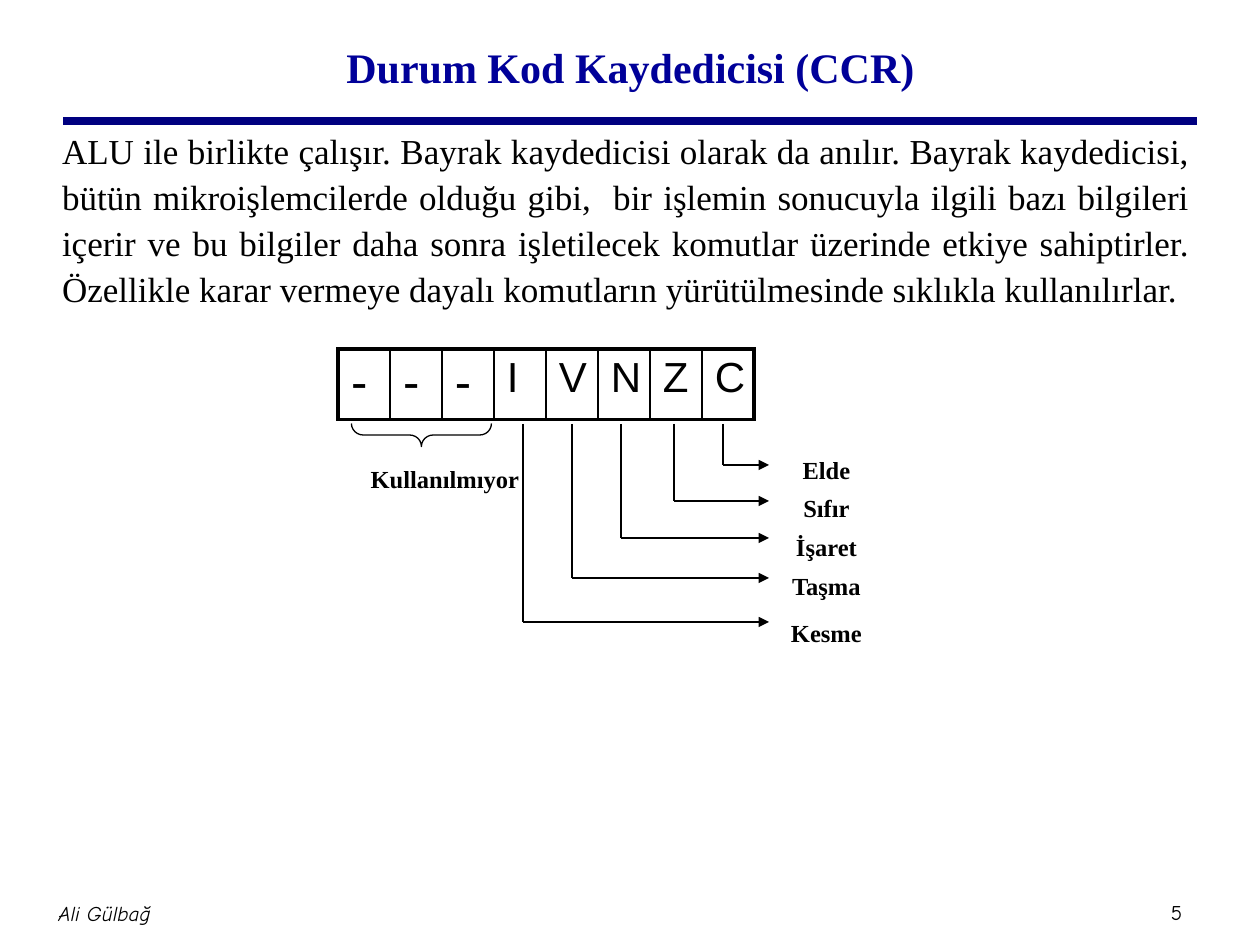
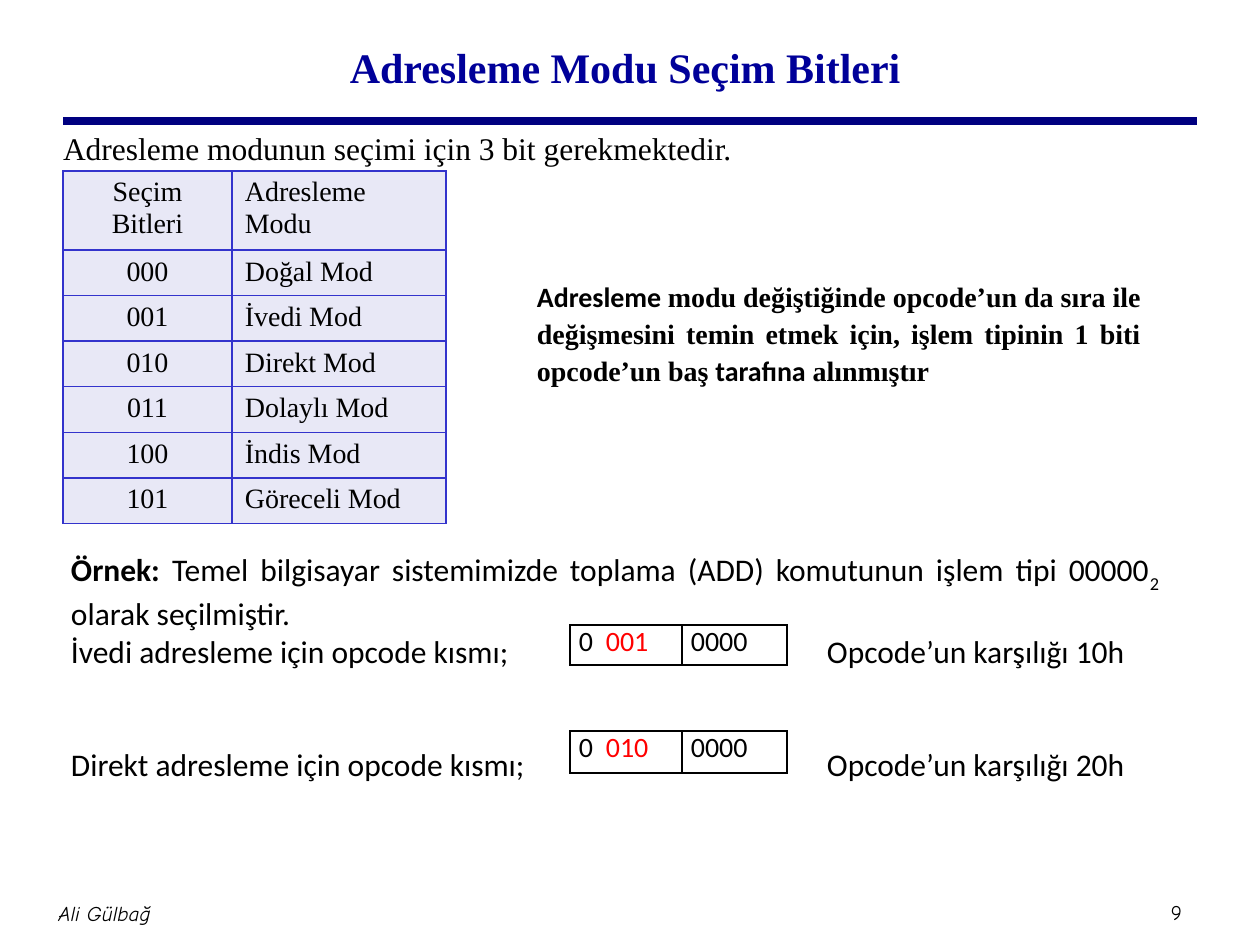
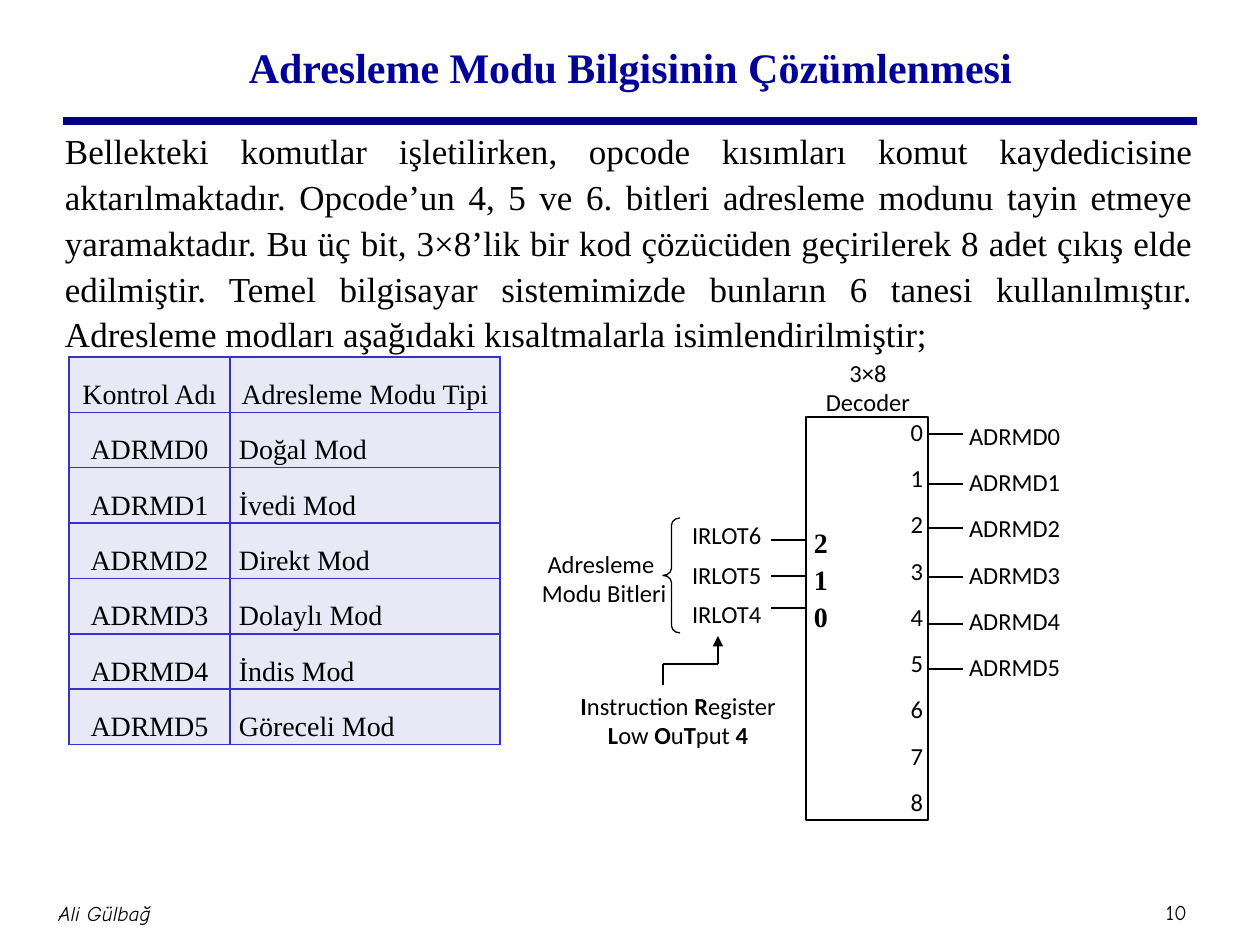
from lxml import etree
from pptx import Presentation
from pptx.dml.color import RGBColor
from pptx.enum.shapes import MSO_CONNECTOR, MSO_SHAPE
from pptx.enum.text import MSO_ANCHOR, PP_ALIGN
from pptx.oxml.ns import qn
from pptx.util import Emu, Pt

LEFT, CENTER, RIGHT, JUSTIFY = PP_ALIGN.LEFT, PP_ALIGN.CENTER, PP_ALIGN.RIGHT, PP_ALIGN.JUSTIFY
TOP, MIDDLE = MSO_ANCHOR.TOP, MSO_ANCHOR.MIDDLE
STRAIGHT = MSO_CONNECTOR.STRAIGHT
RECTANGLE, LEFT_BRACE = MSO_SHAPE.RECTANGLE, MSO_SHAPE.LEFT_BRACE

BLACK = RGBColor(0x00, 0x00, 0x00)
RED = RGBColor(0xFF, 0x00, 0x00)
TITLE_BLUE = RGBColor(0x00, 0x00, 0x99)
BAND_BLUE = RGBColor(0x00, 0x00, 0x80)
GRID_BLUE = RGBColor(0x33, 0x33, 0xCC)
CELL_LILAC = RGBColor(0xE8, 0xE8, 0xF6)

SERIF, SANS, ARIAL, HAND = "Times New Roman", "Calibri", "Arial", "Comic Neue"
SERIF_SPACING = 1.09
INSETS = (13, 6, 13, 6)
NO_INSETS = (0, 0, 0, 0)
MODES = ["Doğal Mod", "İvedi Mod", "Direkt Mod", "Dolaylı Mod", "İndis Mod", "Göreceli Mod"]


def px(n):
    return Emu(round(n * 914400 / 126))


# Text
def write(p, content, size, font, bold=False, italic=False, color=BLACK,
          align=LEFT, spacing=None, after=None):
    """Fill a paragraph with a string, or with (text, overrides) runs."""
    p.alignment = align
    p.line_spacing = spacing
    p.space_before = Pt(0)
    p.space_after = Pt(after or 0)
    f = p.font
    f.size, f.name, f.bold, f.italic = Pt(size), font, bold, italic
    f.color.rgb = color
    for item in [(content, {})] if isinstance(content, str) else content:
        r = p.add_run()
        r.text, changes = item
        if "bold" in changes:
            r.font.bold = changes["bold"]
        if "font" in changes:
            r.font.name = changes["font"]
        if "color" in changes:
            r.font.color.rgb = changes["color"]
        if "baseline" in changes:
            r._r.get_or_add_rPr().set("baseline", str(changes["baseline"]))


def fill_frame(tf, paragraphs, size, font, insets=INSETS, anchor=TOP, **style):
    tf.word_wrap = True
    tf.vertical_anchor = anchor
    tf.margin_left, tf.margin_top, tf.margin_right, tf.margin_bottom = map(px, insets)
    for i, content in enumerate(paragraphs):
        p = tf.paragraphs[0] if i == 0 else tf.add_paragraph()
        write(p, content, size, font, **style)


def text(s, x, y, w, h, paragraphs, size, font, **style):
    tf = s.shapes.add_textbox(*map(px, (x, y, w, h))).text_frame
    fill_frame(tf, paragraphs, size, font, **style)
    return tf


def tab_stop(p, position):
    tabs = etree.SubElement(p._p.get_or_add_pPr(), qn("a:tabLst"))
    etree.SubElement(tabs, qn("a:tab"), pos=str(px(position)), algn="l")
    defaults = p._p.pPr.find(qn("a:defRPr"))
    if defaults is not None:
        defaults.addprevious(tabs)


# Lines and outlines
def line(s, x1, y1, x2, y2, color=BLACK, width=0.75, arrow=False):
    c = s.shapes.add_connector(STRAIGHT, *map(px, (x1, y1, x2, y2)))
    c.line.color.rgb = color
    c.line.width = Pt(width)
    if arrow:
        etree.SubElement(c.line._get_or_add_ln(), qn("a:tailEnd"), type="triangle")
    etree.SubElement(c._element.spPr, qn("a:effectLst"))


def outline(s, kind, x, y, w, h):
    sp = s.shapes.add_shape(kind, *map(px, (x, y, w, h)))
    sp.shadow.inherit = False
    sp.fill.background()
    sp.line.color.rgb = BLACK
    sp.line.width = Pt(0.75)
    return sp


# Tables
def set_borders(cell, color, widths):
    """Draw the left, right, top and bottom edges of a cell."""
    tcPr = cell._tc.get_or_add_tcPr()
    for i, (side, width) in enumerate(zip("LRTB", widths)):
        ln = etree.Element(qn("a:ln" + side), w=str(Pt(width)))
        fill = etree.SubElement(ln, qn("a:solidFill"))
        etree.SubElement(fill, qn("a:srgbClr"), val=str(color))
        tcPr.insert(i, ln)


def grid(s, x, y, cols, heights, rows, size, font, aligns, insets=INSETS,
         anchor=TOP, border=BLACK, fill=None, frame=1, spacing=None):
    """Build a table; frame is the width of its outer border."""
    shape = s.shapes.add_table(len(rows), len(cols), px(x), px(y),
                               px(sum(cols)), px(sum(heights)))
    table = shape.table
    table.first_row = table.horz_banding = False
    for column, width in zip(table.columns, cols):
        column.width = px(width)
    for row, height in zip(table.rows, heights):
        row.height = px(height)
    for i, contents in enumerate(rows):
        for j, content in enumerate(contents):
            cell = table.cell(i, j)
            if fill is None:
                cell.fill.background()
            else:
                cell.fill.solid()
                cell.fill.fore_color.rgb = fill
            cell.vertical_anchor = anchor
            (cell.margin_left, cell.margin_top,
             cell.margin_right, cell.margin_bottom) = map(px, insets)
            write(cell.text_frame.paragraphs[0], content, size, font,
                  align=aligns[j], spacing=spacing)
            edges = (j == 0, j == len(cols) - 1, i == 0, i == len(rows) - 1)
            set_borders(cell, border, [frame if edge else 1 for edge in edges])
    return table


# Shared slide frame: title, band, author, number
def new_slide(prs, title, number):
    s = prs.slides.add_slide(prs.slide_layouts[5])
    sp = s.shapes.title
    sp.left, sp.top, sp.width, sp.height = map(px, (95, 10, 1071, 108))
    fill_frame(sp.text_frame, [title], 24, SERIF, anchor=MIDDLE, bold=True,
               color=TITLE_BLUE, align=CENTER, spacing=SERIF_SPACING)
    line(s, 63, 121, 1197, 121, BAND_BLUE, 4.5)
    footer = dict(insets=(6, 6, 6, 6), anchor=MIDDLE, align=CENTER)
    text(s, 1147, 893, 59, 38, [str(number)], 12, HAND, **footer)
    text(s, -121, 882, 451, 63, ["Ali Gülbağ"], 12, HAND, italic=True, **footer)
    return s


def intro(s, x, content, size=20):
    text(s, x, 120, 1154, 234, [content], size, SERIF, align=JUSTIFY, spacing=SERIF_SPACING)


# Flag register with a labelled arrow from each used bit
def flag_register(s, x, y):
    bits = "---IVNZC"
    table = grid(s, x, y, [52] * len(bits), [68], [list(bits)], 24, ARIAL,
                 [LEFT] * len(bits), frame=2.25)
    for j in range(3):
        table.cell(0, j).text_frame.paragraphs[0].font.size = Pt(28)

    brace = outline(s, LEFT_BRACE, x + 72, y + 16, 23, 140)
    brace.rotation = 270
    brace.adjustments[0] = 0.51

    label = dict(size=14, font=SERIF, bold=True, align=CENTER, spacing=SERIF_SPACING)
    text(s, x + 14, y + 106, 186, 42, ["Kullanılmıyor"], **label)
    flags = [("Elde", 385, 116, 97), ("Sıfır", 336, 152, 135), ("İşaret", 283, 189, 174),
             ("Taşma", 234, 229, 213), ("Kesme", 185, 273, 260)]
    for name, bit_x, arrow_y, label_y in flags:
        line(s, x + bit_x, y + 75, x + bit_x, y + arrow_y)
        line(s, x + bit_x, y + arrow_y, x + 431, y + arrow_y, arrow=True)
        text(s, x + 431, y + label_y, 115, 38, [name], **label)


# Worked example with opcode boxes
def opcode_example(s, x, y):
    tf = text(s, x, y, 1114, 280, [
        [("Örnek: ", {"bold": True}),
         ("Temel bilgisayar sistemimizde toplama (ADD) komutunun işlem tipi 00000", {}),
         ("2", {"baseline": -30000}), (" olarak seçilmiştir.", {})],
        "İvedi adresleme için opcode kısmı;\tOpcode’un karşılığı 10h",
        "Direkt adresleme için opcode kısmı;\tOpcode’un karşılığı 20h",
    ], 18, SANS, align=JUSTIFY)
    for p in tf.paragraphs[1:]:
        p.alignment = LEFT
        tab_stop(p, 756)
    tf.paragraphs[2].space_before = Pt(43)

    for mode_bits, top, height in (("001", 81, 40), ("010", 187, 42)):
        table = grid(s, x + 512, y + top, [112, 105], [height],
                     [[[("0\t", {}), (mode_bits, {"color": RED})], "0000"]],
                     16, SANS, [LEFT, LEFT], insets=(9, 0, 9, 0))
        tab_stop(table.cell(0, 0).text_frame.paragraphs[0], 27)


# Decoder with its inputs, outputs and notes
def decoder_diagram(s, x, y):
    label = dict(size=14, font=SANS)
    text(s, x + 247, y, 158, 58, ["3×8", "Decoder"], align=CENTER, **label)
    body = outline(s, RECTANGLE, x + 264, y + 65, 122, 403)
    fill_frame(body.text_frame, [str(n) for n in range(9)], insets=(0, 0, 5, 0),
               align=RIGHT, after=9.6, **label)

    # Outputs
    for pin_y in (82, 132, 176, 225, 272, 317):
        line(s, x + 386, y + pin_y, x + 421, y + pin_y)
    text(s, x + 427, y + 69, 134, 278, [f"ADRMD{n}" for n in range(6)],
         insets=NO_INSETS, after=9.6, **label)

    # Inputs
    for pin_y in (188, 224, 256):
        line(s, x + 229, y + pin_y, x + 264, y + pin_y)
    text(s, x + 150, y + 168, 97, 137, [f"IRLOT{n}" for n in (6, 5, 4)],
         insets=NO_INSETS, after=5.8, **label)
    text(s, x + 259, y + 165, 39, 115, ["2", "1", "0"], 16, SERIF, bold=True,
         spacing=SERIF_SPACING)
    brace = outline(s, LEFT_BRACE, x + 121, y + 166, 17, 115)
    brace.adjustments[0] = 0.42
    text(s, x - 13, y + 191, 158, 92, [" Adresleme Modu Bitleri"], **label)

    # Meaning of the input names
    bold = {"bold": True}
    text(s, x + 25, y + 333, 222, 136, [
        [("I", bold), ("nstruction ", {}), ("R", bold), ("egister", {})],
        [("L", bold), ("ow ", {}), ("O", bold), ("u", {}), ("T", bold),
         ("put ", {}), ("4", bold)],
    ], align=CENTER, **label)
    line(s, x + 121, y + 333, x + 121, y + 312)
    line(s, x + 121, y + 312, x + 176, y + 312)
    line(s, x + 176, y + 312, x + 176, y + 284, arrow=True)


# Slides
def condition_code_slide(prs):
    s = new_slide(prs, "Durum Kod Kaydedicisi (CCR)", 5)
    intro(s, 49, "ALU ile birlikte çalışır. Bayrak kaydedicisi olarak da anılır. Bayrak "
          "kaydedicisi, bütün mikroişlemcilerde olduğu gibi,  bir işlemin sonucuyla ilgili "
          "bazı bilgileri içerir ve bu bilgiler daha sonra işletilecek komutlar üzerinde "
          "etkiye sahiptirler. Özellikle karar vermeye dayalı komutların yürütülmesinde "
          "sıklıkla kullanılırlar.")
    flag_register(s, 338, 349)


def mode_bits_slide(prs):
    s = new_slide(prs, "Adresleme Modu Seçim Bitleri ", 9)
    intro(s, 50, "Adresleme modunun seçimi için 3 bit gerekmektedir.", 18)
    rows = [["Seçim Bitleri", "Adresleme Modu"]]
    rows += [[f"{n:03b}", mode] for n, mode in enumerate(MODES)]
    grid(s, 63, 171, [169, 214], [75] + [43.75] * len(MODES), rows, 16, SERIF,
         [CENTER, LEFT], border=GRID_BLUE, fill=CELL_LILAC)
    sans = {"font": SANS}
    text(s, 524, 271, 630, 115, [[
        ("Adresleme ", sans),
        ("modu değiştiğinde opcode’un da sıra ile değişmesini temin etmek için, işlem "
         "tipinin 1 biti opcode’un baş ", {}),
        ("tarafına", sans), (" alınmıştır", {}),
    ]], 16, SERIF, bold=True, align=JUSTIFY, spacing=SERIF_SPACING)
    opcode_example(s, 58, 544)


def mode_decoding_slide(prs):
    s = new_slide(prs, "Adresleme Modu Bilgisinin Çözümlenmesi", 10)
    intro(s, 52, "Bellekteki komutlar işletilirken, opcode kısımları komut kaydedicisine "
          "aktarılmaktadır. Opcode’un 4, 5 ve 6. bitleri adresleme modunu tayin etmeye "
          "yaramaktadır. Bu üç bit, 3×8’lik bir kod çözücüden geçirilerek 8 adet çıkış "
          "elde edilmiştir. Temel bilgisayar sistemimizde bunların 6 tanesi "
          "kullanılmıştır. Adresleme modları aşağıdaki kısaltmalarla isimlendirilmiştir;")
    rows = [["Kontrol Adı", "Adresleme Modu Tipi"]]
    rows += [[f"ADRMD{n}", mode] for n, mode in enumerate(MODES)]
    table = grid(s, 69, 357, [161, 270], [51.6] * len(rows), rows, 16, SERIF,
                 [CENTER, LEFT], insets=(9, 5, 9, 0), anchor=MIDDLE,
                 border=GRID_BLUE, fill=CELL_LILAC, spacing=1.5)
    table.cell(0, 1).text_frame.paragraphs[0].alignment = CENTER
    decoder_diagram(s, 542, 352)


prs = Presentation()
prs.slide_width, prs.slide_height = px(1260), px(945)
condition_code_slide(prs)
mode_bits_slide(prs)
mode_decoding_slide(prs)
prs.save("out.pptx")
